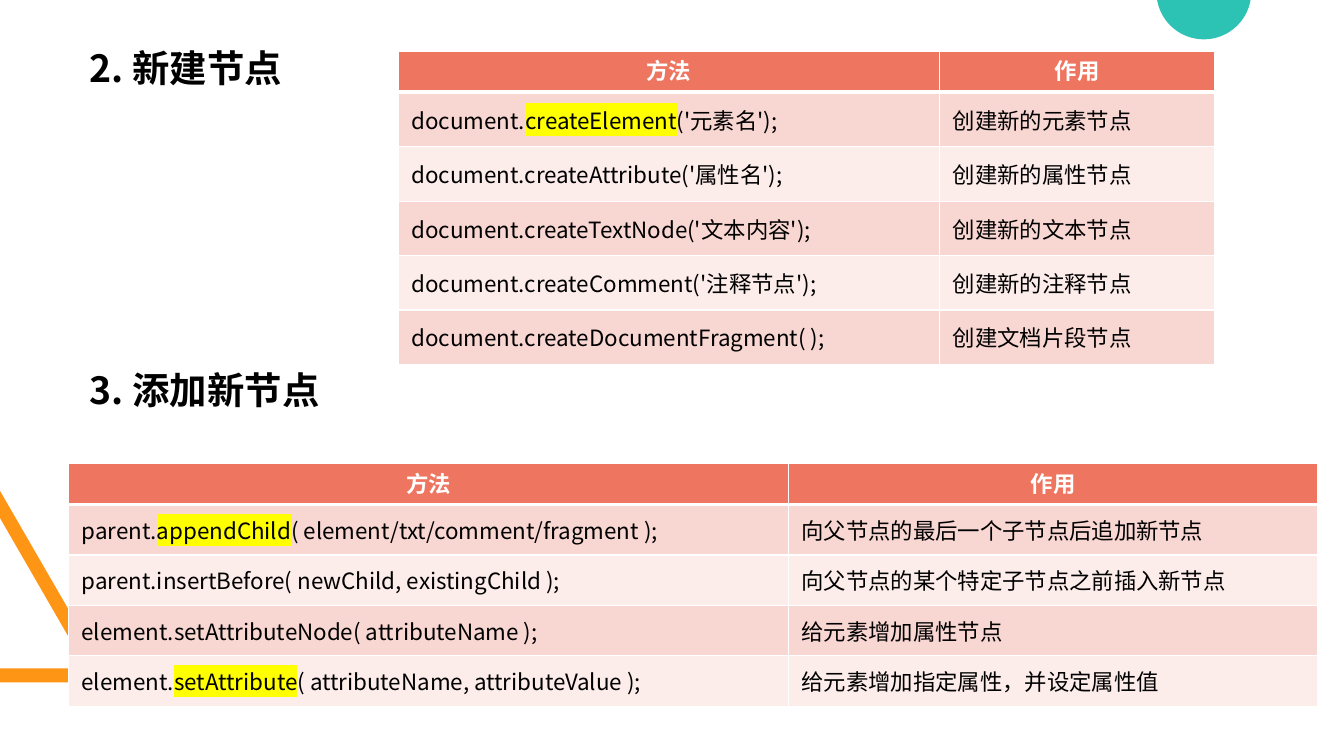
from lxml.etree import SubElement
from pptx import Presentation
from pptx.dml.color import RGBColor as RGB
from pptx.enum.shapes import MSO_SHAPE as Shape
from pptx.enum.text import MSO_ANCHOR as Anchor, PP_ALIGN as Align
from pptx.oxml.ns import qn
from pptx.util import Pt

PX = 9144  # 100 px to the inch
SANS = "Noto Sans CJK SC"


def paint(fill, color):
    fill.solid()
    fill.fore_color.rgb = RGB.from_string(color)


def write(par, text, face, size, color, bold):
    """Add runs to a paragraph; the part between bars is highlighted."""
    for i, part in enumerate(text.split("|")):
        run = par.add_run()
        run.text = part
        for key, val in {"size": Pt(size), "bold": bold}.items():
            setattr(run.font, key, val)
        paint(run.font.fill, color)
        props = run.font._element
        if i % 2:
            mark = SubElement(props, qn("a:highlight"))
            SubElement(mark, qn("a:srgbClr"), val="FFFF00")
        for tag in ("a:latin", "a:ea"):
            SubElement(props, qn(tag), typeface=face)


deck = Presentation()
deck.slide_width, deck.slide_height = 1333 * PX, 750 * PX
slide = deck.slides.add_slide(deck.slide_layouts[6])
shapes = slide.shapes

# Corner ornaments
edge = [(0, 677), (0, 663), (86, 663), (0, 514), (0, 487),
        (104, 667), (105, 670), (103, 675), (98, 677)]
path = shapes.build_freeform(*edge[0], scale=PX)
path.add_line_segments(edge[1:], close=True)
angle = path.convert_to_shape()
disc = shapes.add_shape(Shape.OVAL, 1147 * PX, -55 * PX, 94 * PX, 94 * PX)
for shape, color in ((angle, "FF9514"), (disc, "2CC3B4")):
    shape.shadow.inherit = False
    paint(shape.fill, color)
    shape.line.fill.background()

# Content of the two sections
HEAD = ("方法", "作用")
create = [
    HEAD,
    ("document.|createElement|('元素名');", "创建新的元素节点"),
    ("document.createAttribute('属性名');", "创建新的属性节点"),
    ("document.createTextNode('文本内容');", "创建新的文本节点"),
    ("document.createComment('注释节点');", "创建新的注释节点"),
    ("document.createDocumentFragment( );", "创建文档片段节点"),
]
append = [
    HEAD,
    ("parent.|appendChild|( element/txt/comment/fragment );",
     "向父节点的最后一个子节点后追加新节点"),
    ("parent.insertBefore( newChild, existingChild );",
     "向父节点的某个特定子节点之前插入新节点"),
    ("element.setAttributeNode( attributeName );", "给元素增加属性节点"),
    ("element.|setAttribute|( attributeName, attributeValue );",
     "给元素增加指定属性，并设定属性值"),
]
# title, its top and width, table left and top, columns, row height, rows
parts = [
    ("2. 新建节点", 40, 215, 395, 51, (537, 273), 54, create),
    ("3. 添加新节点", 359, 252, 68, 460, (714, 525), 50, append),
]
TOP = 38  # header row height
pad = {"margin_left": 13 * PX, "margin_right": 13 * PX,
       "margin_top": 7 * PX, "margin_bottom": 7 * PX}

for title, y, wide, left, top, cols, high, rows in parts:
    # Section title
    box = shapes.add_textbox(79 * PX, y * PX, wide * PX, 55 * PX)
    box.text_frame.word_wrap = True
    write(box.text_frame.paragraphs[0], title, SANS, 26.7, "000000", True)

    # Method table
    tall = TOP + high * (len(rows) - 1)
    table = shapes.add_table(len(rows), len(cols), left * PX, top * PX,
                             sum(cols) * PX, tall * PX).table
    table.horz_banding = False
    for col, size in zip(table.columns, cols):
        col.width = size * PX
    for r, row in enumerate(rows):
        table.rows[r].height = (high if r else TOP) * PX
        for c, text in enumerate(row):
            cell = table.cell(r, c)
            for key, val in pad.items():
                setattr(cell, key, val)
            par = cell.text_frame.paragraphs[0]
            if r:
                cell.vertical_anchor = Anchor.MIDDLE
                write(par, text, SANS, 16, "000000", False)
            else:
                par.alignment = Align.CENTER
                write(par, text, "Calibri", 16, "FFFFFF", True)
            # White borders, thick under the header
            props = cell._tc.get_or_add_tcPr()
            for side in "LRTB":
                thick = 3 if (r, side) in ((0, "B"), (1, "T")) else 1
                line = SubElement(props, qn("a:ln" + side), w=str(Pt(thick)))
                ink = SubElement(line, qn("a:solidFill"))
                SubElement(ink, qn("a:srgbClr"), val="FFFFFF")
            band = "F8D6D2" if r % 2 else "FCECEA"
            paint(cell.fill, band if r else "EE7661")

deck.save("out.pptx")
